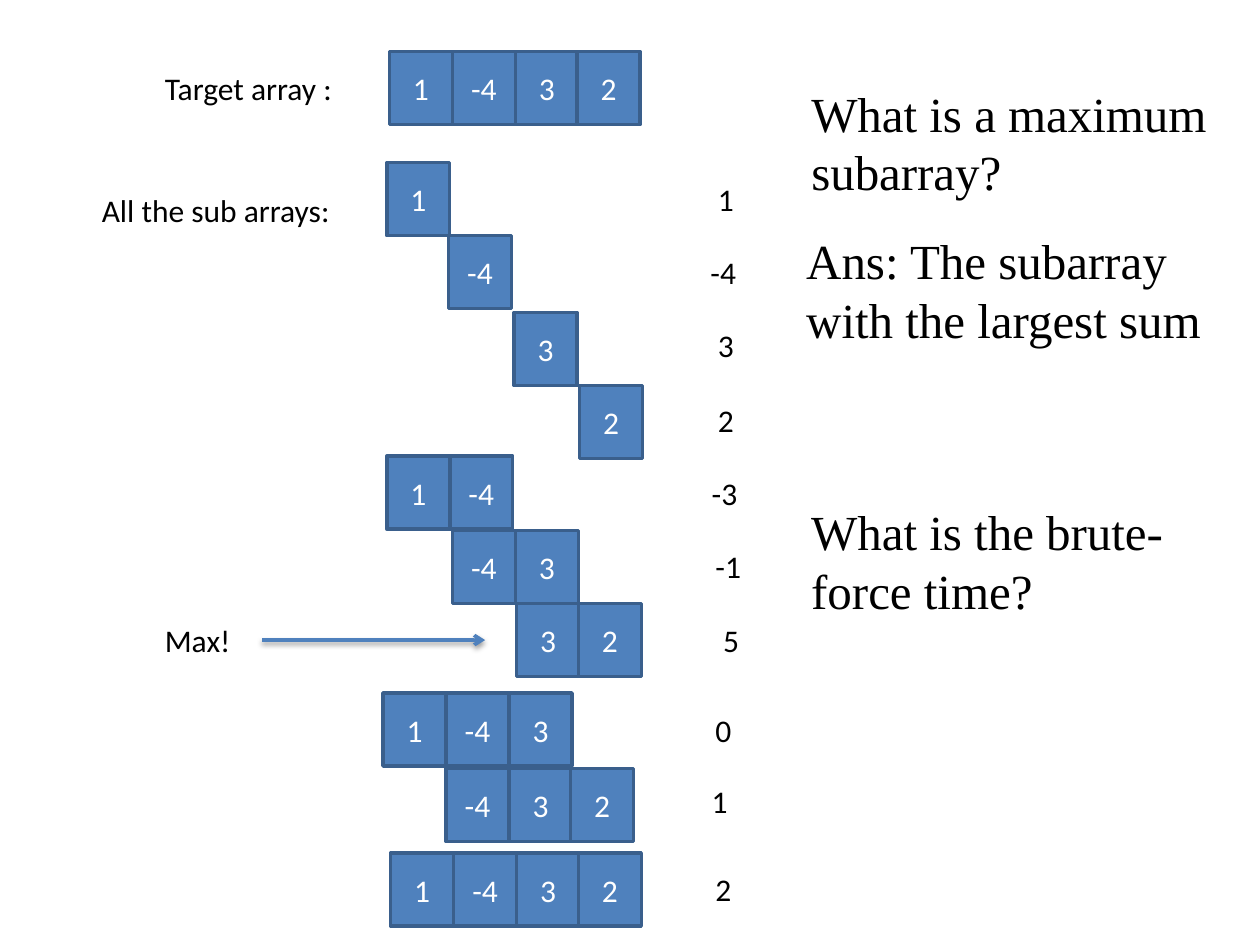
from lxml.etree import SubElement
from pptx import Presentation
from pptx.dml.color import RGBColor
from pptx.enum.shapes import MSO_CONNECTOR, MSO_SHAPE
from pptx.enum.text import MSO_ANCHOR, MSO_AUTO_SIZE, PP_ALIGN
from pptx.oxml.ns import qn
from pptx.util import Pt

PX = 9144  # 100 px to the inch
BLUE = RGBColor(0x4F, 0x81, 0xBD)
NAVY = RGBColor(0x3A, 0x5F, 0x8C)
WHITE = RGBColor(0xFF, 0xFF, 0xFF)
BLACK = RGBColor(0x00, 0x00, 0x00)
SANS, SERIF = "Calibri", "Times New Roman"

ARRAY = (1, -4, 3, 2)
EDGES = (0, 50, 100, 149)  # left edge of each column within a row
CELL_W, CELL_H = 50, 58

# start, stop, row left, row top, sum left, sum top
SUBS = (
    (0, 1, 307, 129, 560, 138),
    (1, 2, 356, 187, 554, 196),
    (2, 3, 408, 248, 560, 254),
    (3, 4, 460, 306, 560, 313),
    (0, 2, 307, 362, 555, 371),
    (1, 3, 359, 421, 558, 429),
    (2, 4, 410, 479, 564, 488),
    (0, 3, 304, 550, 558, 559),
    (1, 4, 354, 610, 555, 616),
    (0, 4, 310, 677, 558, 686),
)
LABELS = (
    ("Target array :", 121, 50, 165),
    ("All the sub arrays:", 71, 147, 217),
    ("Max!", 121, 488, 117),
)
NOTES = (
    ("What is a maximum subarray?", 634, 61, 358),
    ("Ans: The subarray with the largest sum", 630, 178, 358),
    ("What is the brute-force time?", 634, 393, 323),
)


class Board:
    """Holds the current slide and the style of its elements."""

    def __init__(self, slide):
        self.shapes = slide.shapes

    def run(self, para, text, size, font, color):
        run = para.add_run()
        run.text = text
        run.font.size = Pt(size)
        run.font.name = font
        run.font.color.rgb = color

    def text(self, text, x, y, w, h=40, size=18, font=SANS):
        box = self.shapes.add_textbox(x * PX, y * PX, w * PX, h * PX)
        frame = box.text_frame
        frame.word_wrap = True
        frame.auto_size = MSO_AUTO_SIZE.SHAPE_TO_FIT_TEXT
        self.run(frame.paragraphs[0], text, size, font, BLACK)

    def cell(self, value, x, y):
        box = self.shapes.add_shape(
            MSO_SHAPE.RECTANGLE, x * PX, y * PX, CELL_W * PX, CELL_H * PX)
        box.shadow.inherit = False
        box.fill.solid()
        box.fill.fore_color.rgb = BLUE
        box.line.color.rgb = NAVY
        box.line.width = Pt(2)
        box.text_frame.vertical_anchor = MSO_ANCHOR.MIDDLE
        para = box.text_frame.paragraphs[0]
        para.alignment = PP_ALIGN.CENTER
        self.run(para, str(value), 18, SANS, WHITE)

    def row(self, start, stop, x, y):
        """Draws ARRAY[start:stop] as touching cells."""
        for i in range(start, stop):
            self.cell(ARRAY[i], x + EDGES[i] - EDGES[start], y)

    def arrow(self, x1, y1, x2, y2):
        """Draws an arrow with a soft shadow below it."""
        line = self.shapes.add_connector(
            MSO_CONNECTOR.STRAIGHT, x1 * PX, y1 * PX, x2 * PX, y2 * PX)
        line.line.color.rgb = BLUE
        line.line.width = Pt(2)
        props = line._element.spPr
        SubElement(props.find(qn("a:ln")), qn("a:tailEnd"), type="arrow")
        effects = SubElement(props, qn("a:effectLst"))
        shadow = SubElement(
            effects, qn("a:outerShdw"), blurRad=str(Pt(3.1)),
            dist=str(Pt(1.6)), dir="5400000", rotWithShape="0")
        color = SubElement(shadow, qn("a:srgbClr"), val=str(BLACK))
        SubElement(color, qn("a:alpha"), val="38000")


def main():
    deck = Presentation()
    deck.slide_width, deck.slide_height = 1000 * PX, 750 * PX
    board = Board(deck.slides.add_slide(deck.slide_layouts[6]))

    board.row(0, len(ARRAY), 309, 41)
    for start, stop, x, y, sum_x, sum_y in SUBS:
        board.row(start, stop, x, y)
        board.text(str(sum(ARRAY[start:stop])), sum_x, sum_y, 117)
    for label in LABELS:
        board.text(*label)
    board.arrow(208, 508, 385, 508)
    for note in NOTES:
        board.text(*note, h=104, size=28, font=SERIF)

    deck.save("out.pptx")


if __name__ == "__main__":
    main()
